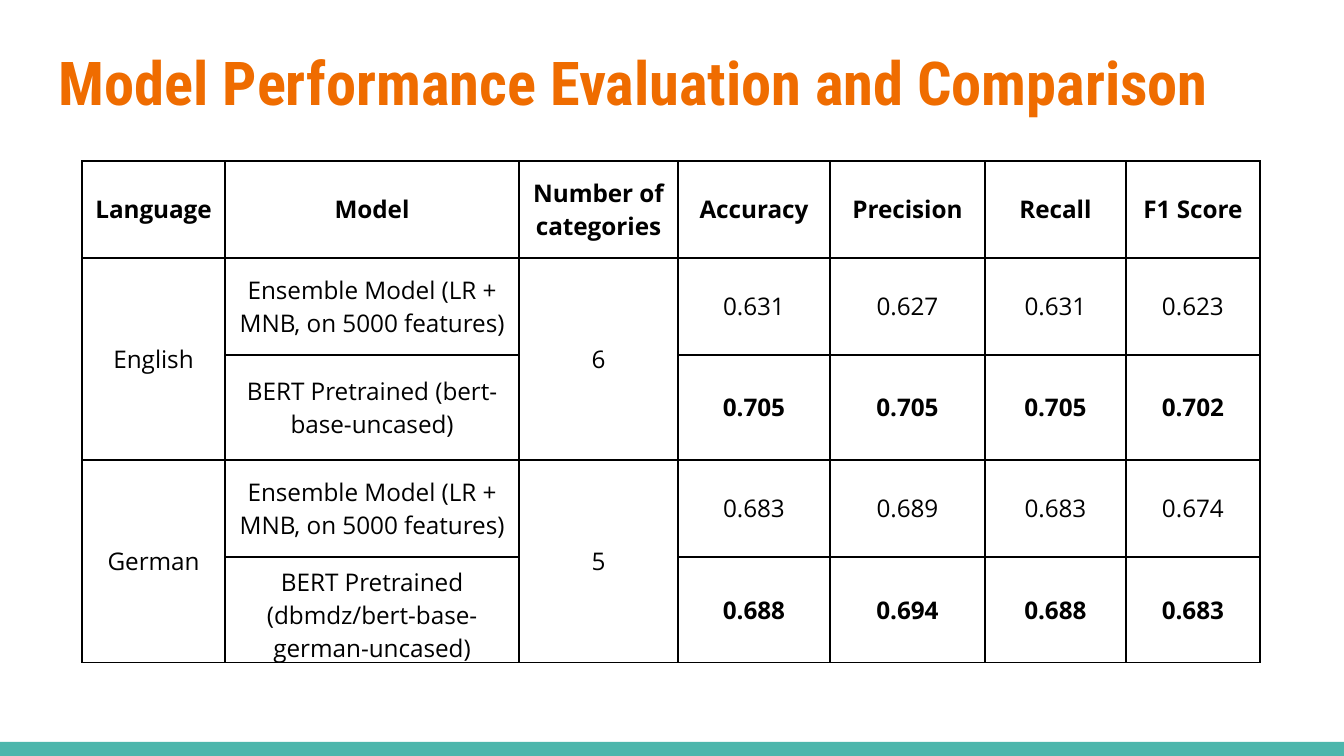
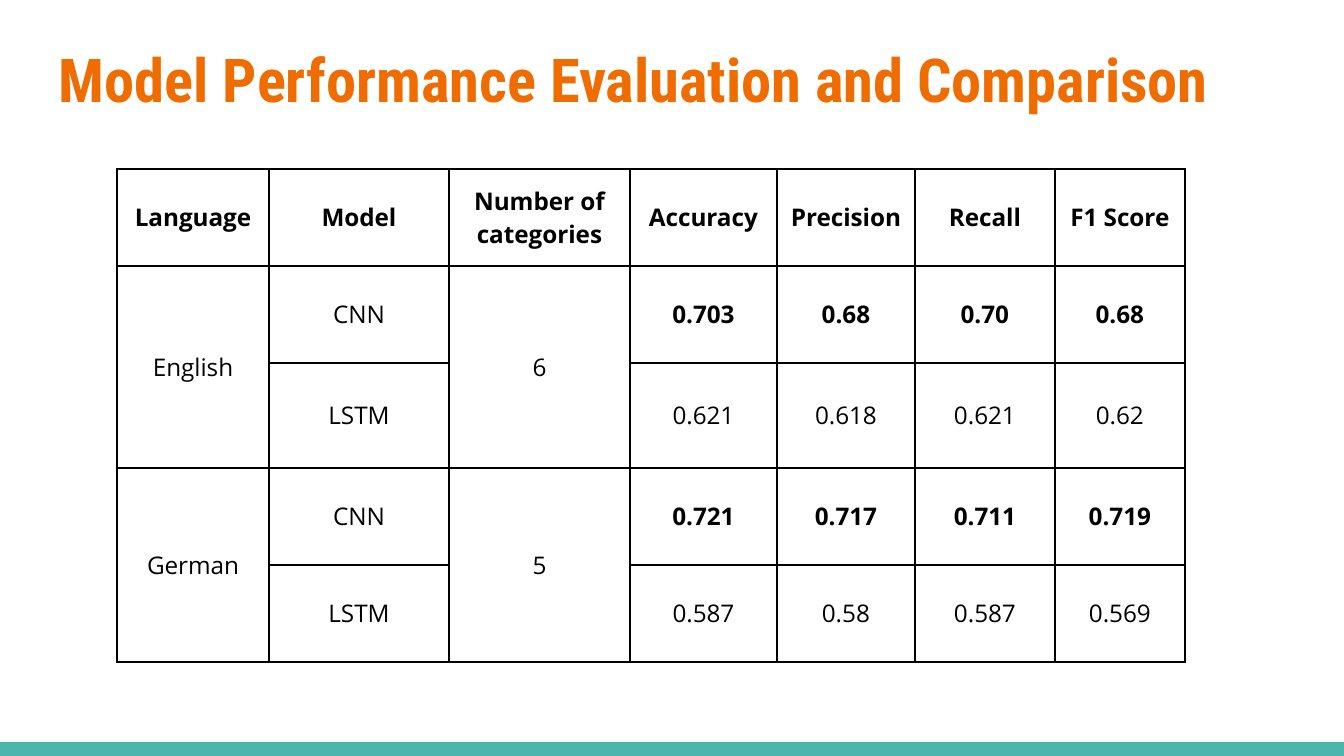
import pptx
import pptx.util
import pptx.oxml
import pptx.oxml.ns
import pptx.dml.color
import pptx.enum.shapes
import pptx.enum.text

PX = 914400 / 134.4
SLIDE_W, SLIDE_H = 1344, 756
COLORS = {"title": "EF6C00", "band": "4DB6AC", "ink": "000000", "paper": "FFFFFF"}
TITLE_FONT, BODY_FONT = "Roboto Condensed", "Open Sans"
TITLE = "Model Performance Evaluation and Comparison"
HEADERS = ["Language", "Model", "Number of categories",
           "Accuracy", "Precision", "Recall", "F1 Score"]
LANGUAGES = [("English", "6"), ("German", "5")]
ROW_HEIGHTS = [97, 97, 105, 97, 97]
CELL_INSET, TITLE_INSET = 9, 13

# Each score row: model, scores, whether it is the better of its language
CLASSIC = "Ensemble Model (LR + MNB, on 5000 features)"
SLIDES = [
    {"title_top": 32, "table_at": (82, 161),
     "columns": [143, 294, 159, 152, 155, 141, 134],
     "scores": [
         (CLASSIC, ["0.631", "0.627", "0.631", "0.623"], False),
         ("BERT Pretrained (bert-base-uncased)",
          ["0.705", "0.705", "0.705", "0.702"], True),
         (CLASSIC, ["0.683", "0.689", "0.683", "0.674"], False),
         ("BERT Pretrained (dbmdz/bert-base-german-uncased)",
          ["0.688", "0.694", "0.688", "0.683"], True)]},
    {"title_top": 29, "table_at": (117, 169),
     "columns": [152, 180, 181, 147, 138, 140, 130],
     "scores": [
         ("CNN", ["0.703", "0.68", "0.70", "0.68"], True),
         ("LSTM", ["0.621", "0.618", "0.621", "0.62"], False),
         ("CNN", ["0.721", "0.717", "0.711", "0.719"], True),
         ("LSTM", ["0.587", "0.58", "0.587", "0.569"], False)]},
]


def px(length):
    return pptx.util.Emu(round(length * PX))


def rgb(name):
    return pptx.dml.color.RGBColor.from_string(COLORS[name])


def set_insets(holder, inset):
    holder.margin_left = holder.margin_right = px(inset)
    holder.margin_top = holder.margin_bottom = px(inset)


def add_run(paragraph, text, font, size, color, bold):
    run = paragraph.add_run()
    run.text = text
    run.font.name = font
    run.font.size = pptx.util.Pt(size)
    run.font.bold = bold
    run.font.color.rgb = rgb(color)


def add_band(slide, left, top, width, height):
    band = slide.shapes.add_shape(pptx.enum.shapes.MSO_SHAPE.RECTANGLE,
                                  px(left), px(top), px(width), px(height))
    band.shadow.inherit = False
    band.fill.solid()
    band.fill.fore_color.rgb = rgb("band")
    band.line.fill.background()


def add_title(slide, left, top, width, height):
    frame = slide.shapes.add_textbox(px(left), px(top), px(width), px(height)).text_frame
    frame.word_wrap = True
    set_insets(frame, TITLE_INSET)
    add_run(frame.paragraphs[0], TITLE, TITLE_FONT, 32.4, "title", True)


def set_borders(cell):
    properties = cell._tc.get_or_add_tcPr()
    for index, side in enumerate(("lnL", "lnR", "lnT", "lnB")):
        # Border lines come before the fill in the cell properties
        properties.insert(index, pptx.oxml.parse_xml(
            f'<a:{side} {pptx.oxml.ns.nsdecls("a")} w="{pptx.util.Pt(1)}">'
            f'<a:solidFill><a:srgbClr val="{COLORS["ink"]}"/></a:solidFill></a:{side}>'))


def fill_cell(cell, text, bold=False):
    cell.vertical_anchor = pptx.enum.text.MSO_ANCHOR.MIDDLE
    set_insets(cell, CELL_INSET)
    paragraph = cell.text_frame.paragraphs[0]
    paragraph.alignment = pptx.enum.text.PP_ALIGN.CENTER
    add_run(paragraph, text, BODY_FONT, 13, "ink", bold)


def add_score_table(slide, left, top, columns, scores):
    table = slide.shapes.add_table(len(ROW_HEIGHTS), len(columns), px(left), px(top),
                                   px(sum(columns)), px(sum(ROW_HEIGHTS))).table
    table.first_row = table.horz_banding = False
    for column, width in zip(table.columns, columns):
        column.width = px(width)
    for row, height in zip(table.rows, ROW_HEIGHTS):
        row.height = px(height)
    for cell in table.iter_cells():
        cell.fill.background()
        set_borders(cell)

    # Header row
    for column, header in enumerate(HEADERS):
        fill_cell(table.cell(0, column), header, True)

    # Language and category count span the two models of a language
    for index, (language, categories) in enumerate(LANGUAGES):
        first = 1 + 2 * index
        for column, text in ((0, language), (2, categories)):
            table.cell(first, column).merge(table.cell(first + 1, column))
            fill_cell(table.cell(first, column), text)

    # Models and their scores
    for row, (model, values, best) in enumerate(scores, 1):
        fill_cell(table.cell(row, 1), model)
        for column, value in enumerate(values, 3):
            fill_cell(table.cell(row, column), value, best)


def add_comparison_slide(deck, title_top, table_at, columns, scores):
    slide = deck.slides.add_slide(deck.slide_layouts[6])
    slide.background.fill.solid()
    slide.background.fill.fore_color.rgb = rgb("paper")
    add_band(slide, 0, SLIDE_H - 14, SLIDE_W, 14)
    add_title(slide, 46, title_top, 1252, 89)
    add_score_table(slide, *table_at, columns, scores)


def main():
    deck = pptx.Presentation()
    deck.slide_width, deck.slide_height = px(SLIDE_W), px(SLIDE_H)
    for content in SLIDES:
        add_comparison_slide(deck, **content)
    deck.save("out.pptx")


if __name__ == "__main__":
    main()
